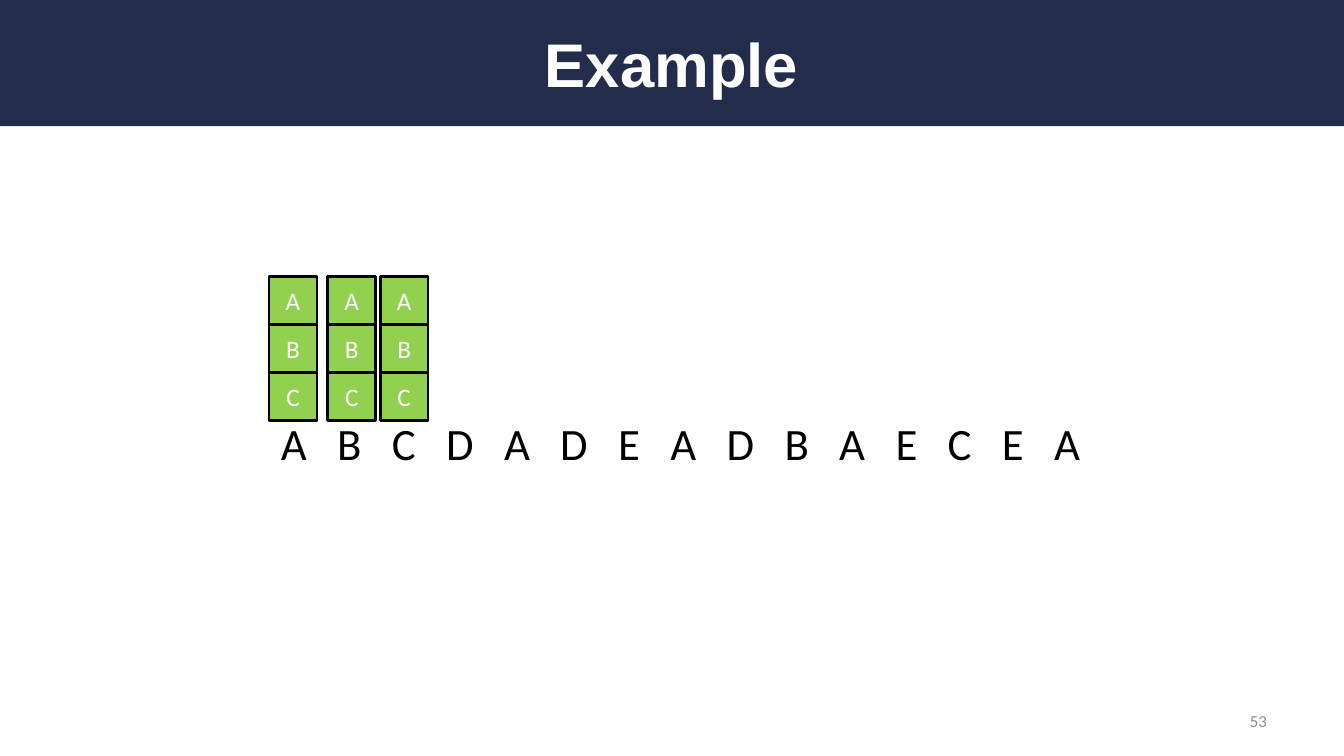
"""Build the page-stack example slide."""
from pptx import Presentation
from pptx.dml.color import RGBColor
from pptx.enum.shapes import MSO_SHAPE
from pptx.enum.text import MSO_ANCHOR, PP_ALIGN
from pptx.util import Cm, Pt

RECT = MSO_SHAPE.RECTANGLE
MID, TOP = MSO_ANCHOR.MIDDLE, MSO_ANCHOR.TOP
LEFT, MIDST, RIGHT = PP_ALIGN.LEFT, PP_ALIGN.CENTER, PP_ALIGN.RIGHT

TITLE = "Example"
PAGE = "53"
REFS = "ABCDADEADBAECEA"
STACKS = [(9.58, "ABC"), (8.26, "ABC"), (6.78, "ABC")]
STACK_TOP, CELL = 6.96, 1.21
WIDE, HIGH = 33.87, 19.05
NAVY, GREEN, GREY = "232D4B", "92D050", "8C8C8C"
WHITE, BLACK = "FFFFFF", "000000"


def paint(part, color):
    part.rgb = RGBColor.from_string(color)


def write(shape, text, size, color, align=MIDST, anchor=MID, font="Calibri", bold=False):
    frame = shape.text_frame
    frame.vertical_anchor = anchor
    para = frame.paragraphs[0]
    para.alignment = align
    run = para.add_run()
    run.text = text
    run.font.name, run.font.size, run.font.bold = font, Pt(size), bold
    paint(run.font.color, color)
    return run


def box(shapes, place, fill, line=None):
    shape = shapes.add_shape(RECT, *map(Cm, place))
    shape.shadow.inherit = False
    shape.fill.solid()
    paint(shape.fill.fore_color, fill)
    if line:
        shape.line.width = Pt(2)
        paint(shape.line.color, line)
    else:
        shape.line.fill.background()
    return shape


def label(shapes, place, wrap=True):
    shape = shapes.add_textbox(*map(Cm, place))
    shape.text_frame.word_wrap = wrap
    return shape


def main():
    deck = Presentation()
    deck.slide_width, deck.slide_height = Cm(WIDE), Cm(HIGH)
    shapes = deck.slides.add_slide(deck.slide_layouts[6]).shapes

    box(shapes, (0, 0, WIDE, 3.18), NAVY)
    head = label(shapes, (1.69, 0.42, 30.48, 2.34))
    write(head, TITLE, 44, WHITE, font="Arial", bold=True)
    foot = label(shapes, (24.28, 17.65, 7.9, 1.02))
    write(foot, PAGE, 12, GREY, RIGHT)

    row = label(shapes, (6.83, 10.36, 20.9, 1.62), wrap=False)
    run = write(row, " ".join(REFS), 32, BLACK, LEFT, TOP)
    run.font._element.set("spc", "723")

    for left, names in STACKS:
        stack = shapes.add_group_shape()
        for i, name in enumerate(names):
            place = (left, STACK_TOP + i * CELL, CELL, CELL)
            write(box(stack.shapes, place, GREEN, BLACK), name, 18, WHITE)

    deck.save("out.pptx")


if __name__ == "__main__":
    main()
